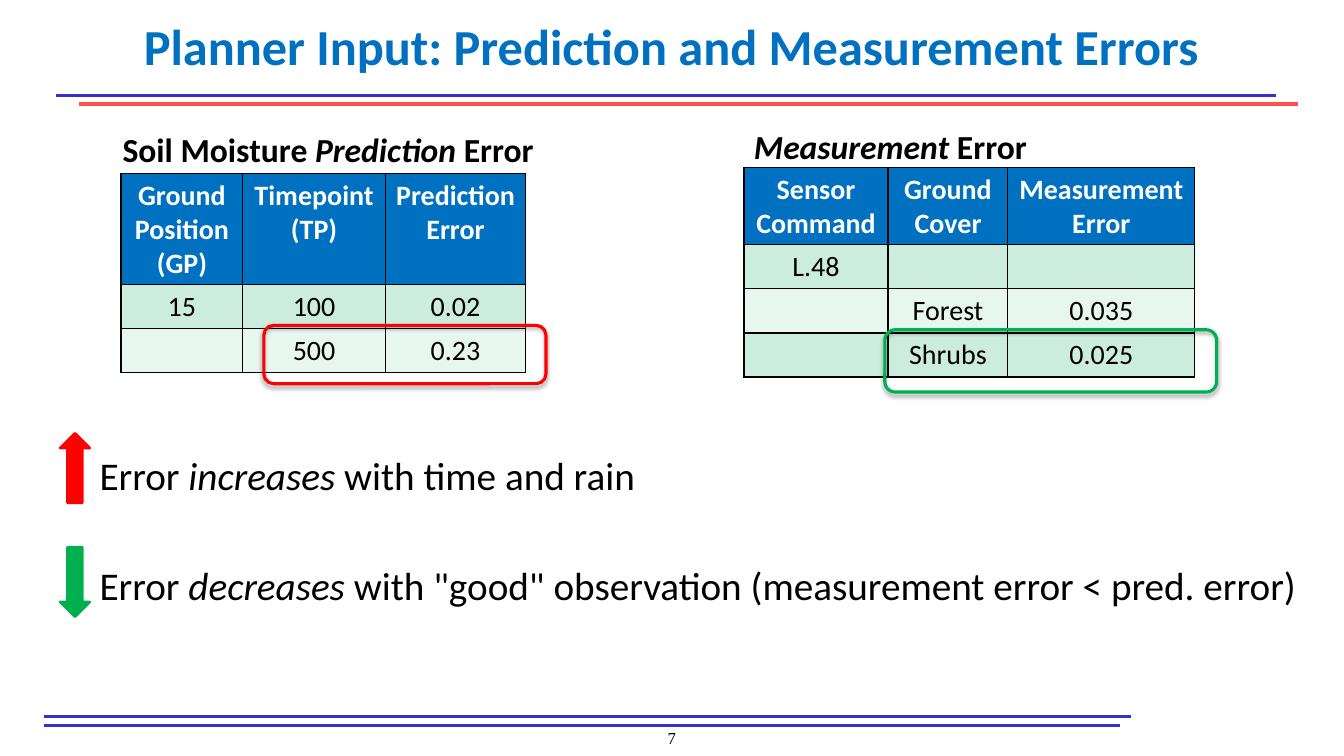
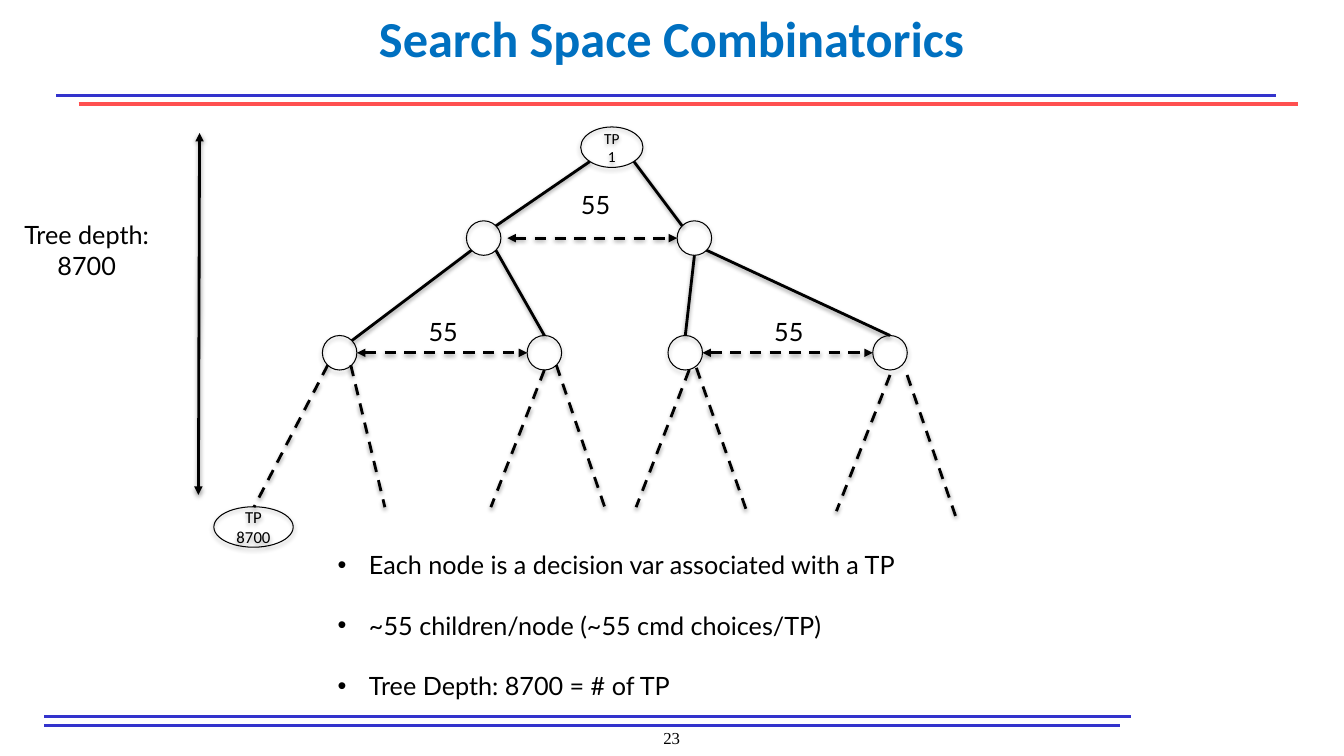
import math

import lxml.etree
import pptx
import pptx.dml.color
import pptx.enum.dml
import pptx.enum.shapes
import pptx.enum.text
import pptx.oxml
import pptx.oxml.ns
import pptx.util

Cm = pptx.util.Cm
Pt = pptx.util.Pt
SHAPES = pptx.enum.shapes.MSO_SHAPE
ALIGN = pptx.enum.text.PP_ALIGN
ANCHOR = pptx.enum.text.MSO_ANCHOR
qualified = pptx.oxml.ns.qn

COLORS = {
    "title": "0070C0",
    "rule": "3333CC",
    "accent_rule": "FF5050",
    "header": "0070C0",
    "odd_row": "CCECDE",
    "even_row": "E7F6EF",
    "increase": "FF0000",
    "decrease": "00B050",
    "text": "000000",
    "light": "FFFFFF",
}
BODY_FONT = "Calibri"
TREE_FONT = "Lato"
NUMBER_FONT = "Times New Roman"

FRAME_RULES = [
    (1.42, 32.16, 2.41, "accent", 2.25),
    (1.98, 32.72, 2.62, "accent_rule", 2.25),
    (1.12, 28.22, 18.29, "rule", 2),
    (1.12, 28.5, 18.06, "rule", 2),
]
FRAME_RULES[0] = (1.42, 32.16, 2.41, "rule", 2.25)


def color(name):
    return pptx.dml.color.RGBColor.from_string(COLORS[name])


def format_paragraph(paragraph, size, font=BODY_FONT, tint="text", bold=False, align=None):
    paragraph.alignment = align
    for run in paragraph.runs:
        run.font.name = font
        run.font.size = Pt(size)
        run.font.bold = bold
        run.font.color.rgb = color(tint)


def fill_mixed(paragraph, parts, size, bold=False):
    for text, italic in parts:
        run = paragraph.add_run()
        run.text = text
        run.font.italic = italic
    format_paragraph(paragraph, size, bold=bold)


def add_text_box(slide, box, text="", size=18, font=TREE_FONT, align=None):
    shape = slide.shapes.add_textbox(*map(Cm, box))
    frame = shape.text_frame
    frame.word_wrap = True
    frame.text = text
    for paragraph in frame.paragraphs:
        format_paragraph(paragraph, size, font, align=align)
    return frame


def set_shadow(shape, opacity=0, distance=0):
    properties = shape.element.spPr
    for old in properties.findall(qualified("a:effectLst")):
        properties.remove(old)
    effects = lxml.etree.SubElement(properties, qualified("a:effectLst"))
    if opacity:
        shadow = lxml.etree.SubElement(
            effects, qualified("a:outerShdw"), blurRad="40000",
            dist=str(distance), dir="5400000", rotWithShape="0")
        black = lxml.etree.SubElement(shadow, qualified("a:srgbClr"), val=COLORS["text"])
        lxml.etree.SubElement(black, qualified("a:alpha"), val=str(opacity * 1000))


def add_line(slide, start, end, tint="text", width=2, dashed=False, arrows=False, shadow=True):
    line = slide.shapes.add_connector(
        pptx.enum.shapes.MSO_CONNECTOR.STRAIGHT, *map(Cm, (*start, *end)))
    line.line.color.rgb = color(tint)
    line.line.width = Pt(width)
    if dashed:
        line.line.dash_style = pptx.enum.dml.MSO_LINE.DASH
    if arrows:
        for tag in ("a:headEnd", "a:tailEnd"):
            lxml.etree.SubElement(line.line._get_or_add_ln(), qualified(tag), type="triangle")
    set_shadow(line, 38 if shadow else 0, 20000)
    return line


def add_outline(slide, kind, box, tint="text", width=0.75):
    shape = slide.shapes.add_shape(kind, *map(Cm, box))
    shape.fill.background()
    shape.line.color.rgb = color(tint)
    shape.line.width = Pt(width)
    set_shadow(shape, 35, 23000)
    return shape


def move_rules_to_layout(slide):
    for left, right, top, tint, width in FRAME_RULES:
        rule = add_line(slide, (left, top), (right, top), tint, width, shadow=False)
        slide.slide_layout.shapes.element.append(rule.element)


def add_titled_slide(presentation, title, box, number):
    slide = presentation.slides.add_slide(presentation.slide_layouts[5])
    shape = slide.shapes.title
    shape.left, shape.top, shape.width, shape.height = map(Cm, box)
    frame = shape.text_frame
    frame.text = title
    frame.auto_size = pptx.enum.text.MSO_AUTO_SIZE.NONE
    frame.vertical_anchor = ANCHOR.MIDDLE
    format_paragraph(frame.paragraphs[0], 36, tint="title", bold=True, align=ALIGN.CENTER)
    add_text_box(slide, (14.53, 18.21, 4.8, 0.84), number, 12, NUMBER_FONT, ALIGN.CENTER)
    return slide


def set_borders(cell):
    properties = cell._tc.get_or_add_tcPr()
    for position, side in enumerate(("lnL", "lnR", "lnT", "lnB")):
        border = lxml.etree.Element(qualified("a:" + side), w=str(Pt(1)))
        fill = lxml.etree.SubElement(border, qualified("a:solidFill"))
        lxml.etree.SubElement(fill, qualified("a:srgbClr"), val=COLORS["text"])
        properties.insert(position, border)


def add_error_table(slide, box, caption_box, caption, widths, header_height, rows):
    left, top = box
    row_height = 1.11
    heights = [header_height] + [row_height] * (len(rows) - 1)
    table = slide.shapes.add_table(
        len(rows), len(widths), Cm(left), Cm(top), Cm(sum(widths)), Cm(sum(heights))).table
    for column, width in zip(table.columns, widths):
        column.width = Cm(width)
    for row_index, texts in enumerate(rows):
        table.rows[row_index].height = Cm(heights[row_index])
        header = row_index == 0
        band = "header" if header else ("even_row", "odd_row")[row_index % 2]
        for column_index, text in enumerate(texts):
            cell = table.cell(row_index, column_index)
            cell.fill.solid()
            cell.fill.fore_color.rgb = color(band)
            set_borders(cell)
            cell.text_frame.text = text
            for paragraph in cell.text_frame.paragraphs:
                format_paragraph(paragraph, 20, tint="light" if header else "text",
                                 bold=header, align=ALIGN.CENTER)
    offset_x, offset_y, width, height = caption_box
    frame = add_text_box(slide, (left + offset_x, top + offset_y, width, height))
    fill_mixed(frame.paragraphs[0], caption, 24, bold=True)


def add_trends(slide, left, top):
    frame = add_text_box(slide, (left + 0.74, top + 0.33, 31.19, 4.37))
    statements = [
        [("Error ", False), ("increases", True), (" with time and rain", False)],
        [("Error ", False), ("decreases", True),
         (" with \"good\" observation (measurement error < pred. error)", False)],
    ]
    frame.add_paragraph().space_before = Pt(45)
    for paragraph, parts in zip(frame.paragraphs, statements):
        fill_mixed(paragraph, parts, 28)
    arrows = [(SHAPES.UP_ARROW, "increase"), (SHAPES.DOWN_ARROW, "decrease")]
    for index, (kind, tint) in enumerate(arrows):
        arrow = add_outline(slide, kind, (left, top + index * 2.87, 0.74, 1.75), tint, 2)
        arrow.fill.solid()
        arrow.fill.fore_color.rgb = color(tint)
        set_shadow(arrow)


def add_depth_scale(slide, left, top, height):
    add_text_box(slide, (left, top + 2.06, 4.17, 1.8), "Tree depth:\n8700", align=ALIGN.CENTER)
    add_line(slide, (left + 4.93, top), (left + 4.9, top + height), arrows=True)


def add_search_tree(slide, left, top):
    node_size = (0.87, 0.87)
    nodes = {
        "root": (10.42, 0.71, 1.57, 1.02, "TP 1", 11),
        "left": (7.19, 3, *node_size, "", 11),
        "right": (12.5, 3, *node_size, "", 11),
        "left_left": (3.56, 5.89, *node_size, "", 11),
        "left_right": (8.72, 5.89, *node_size, "", 11),
        "right_left": (12.27, 5.89, *node_size, "", 11),
        "right_right": (17.43, 5.89, *node_size, "", 11),
        "last": (1.39, 10.28, 2, 1.02, "TP\n8700", 12),
    }
    edges = [
        ("root", (-1, 1), "left", (1, -1)),
        ("root", (1, 1), "right", (-1, -1)),
        ("left", (-1, 1), "left_left", (1, -1)),
        ("left", (1, 1), "left_right", (0, -1)),
        ("right", (0, 1), "right_left", (0, -1)),
        ("right", (1, 1), "right_right", (0, -1)),
    ]
    siblings = [("left", "right", 0.16), ("left_left", "left_right", 0),
                ("right_left", "right_right", 0)]
    branches = [
        ((3.26, 6.2), (1.4, 9.78)), ((3.84, 6.2), (4.7, 9.78)),
        ((8.72, 6.32), (7.37, 9.78)), ((9.02, 6.2), (10.24, 9.78)),
        ((12.37, 6.32), (11.03, 9.78)), ((12.55, 6.27), (13.8, 9.83)),
        ((17.43, 6.45), (16.08, 9.88)), ((17.86, 6.45), (19.08, 10)),
    ]
    labels = [(10.01, 1.65), (6.17, 4.85), (14.88, 4.85)]

    def place(x, y):
        return left + x, top + y

    def rim(name, direction):
        x, y, width, height = nodes[name][:4]
        length = math.hypot(*direction)
        return place(x + direction[0] / length * width / 2,
                     y + direction[1] / length * height / 2)

    for x, y, width, height, text, size in nodes.values():
        node = add_outline(slide, SHAPES.OVAL,
                           (*place(x - width / 2, y - height / 2), width, height))
        node.text_frame.text = text
        node.text_frame.vertical_anchor = ANCHOR.MIDDLE
        for paragraph in node.text_frame.paragraphs:
            format_paragraph(paragraph, size, align=ALIGN.CENTER)
    for parent, parent_side, child, child_side in edges:
        add_line(slide, rim(parent, parent_side), rim(child, child_side))
    for first, second, gap in siblings:
        x, y = rim(first, (1, 0))
        add_line(slide, (x + gap, y), rim(second, (-1, 0)), dashed=True, arrows=True)
    for start, end in branches:
        add_line(slide, place(*start), place(*end), dashed=True)
    for center, label_top in labels:
        add_text_box(slide, (*place(center - 0.92, label_top), 1.84, 1.02), "55",
                     align=ALIGN.CENTER)


def add_bullets(slide, box, items):
    frame = add_text_box(slide, box, "\n".join(items))
    indent = Cm(0.79)
    for index, paragraph in enumerate(frame.paragraphs):
        paragraph.space_before = Pt(21.6 if index else 0)
        properties = paragraph._p.get_or_add_pPr()
        properties.set("marL", str(indent))
        properties.set("indent", str(-indent))
        lxml.etree.SubElement(properties, qualified("a:buFont"), typeface="Arial")
        lxml.etree.SubElement(properties, qualified("a:buChar"), char="•")


def build_errors_slide(presentation):
    slide = add_titled_slide(presentation, "Planner Input: Prediction and Measurement Errors",
                             (2.06, 0.25, 29.74, 1.8), "7")
    move_rules_to_layout(slide)
    add_error_table(
        slide, (3.05, 4.37), (-0.21, -1.25, 10.92, 1.07),
        [("Soil Moisture ", False), ("Prediction", True), (" Error", False)],
        (3.07, 3.59, 3.54), 2.8,
        [("Ground Position\n(GP)", "Timepoint (TP)", "Prediction Error"),
         ("15", "100", "0.02"), ("", "500", "0.23")])
    add_error_table(
        slide, (18.75, 4.22), (0, -1.17, 9.86, 0.94),
        [("Measurement", True), (" Error", False)],
        (3.63, 3.02, 4.71), 1.94,
        [("Sensor Command", "Ground Cover", "Measurement Error"),
         ("L.48", "", ""), ("", "Forest", "0.035"), ("", "Shrubs", "0.025")])
    add_trends(slide, 1.52, 10.92)
    add_outline(slide, SHAPES.ROUNDED_RECTANGLE, (6.65, 8.2, 7.11, 1.47), "increase", 2.25)
    add_outline(slide, SHAPES.ROUNDED_RECTANGLE, (22.3, 8.31, 8.36, 1.57), "decrease", 2.25)


def build_search_slide(presentation):
    slide = add_titled_slide(presentation, "Search Space Combinatorics",
                             (3.15, 0.03, 27.56, 1.8), "23")
    add_depth_scale(slide, 0.1, 3.35, 9.12)
    add_search_tree(slide, 5, 3)
    add_bullets(slide, (8.26, 13.72, 24.43, 4.3), [
        "Each node is a decision var associated with a TP",
        "~55 children/node (~55 cmd choices/TP)",
        "Tree Depth: 8700 = # of TP",
    ])


def main():
    presentation = pptx.Presentation()
    presentation.slide_width = Cm(33.87)
    presentation.slide_height = Cm(19.05)
    build_errors_slide(presentation)
    build_search_slide(presentation)
    presentation.save("out.pptx")


if __name__ == "__main__":
    main()
